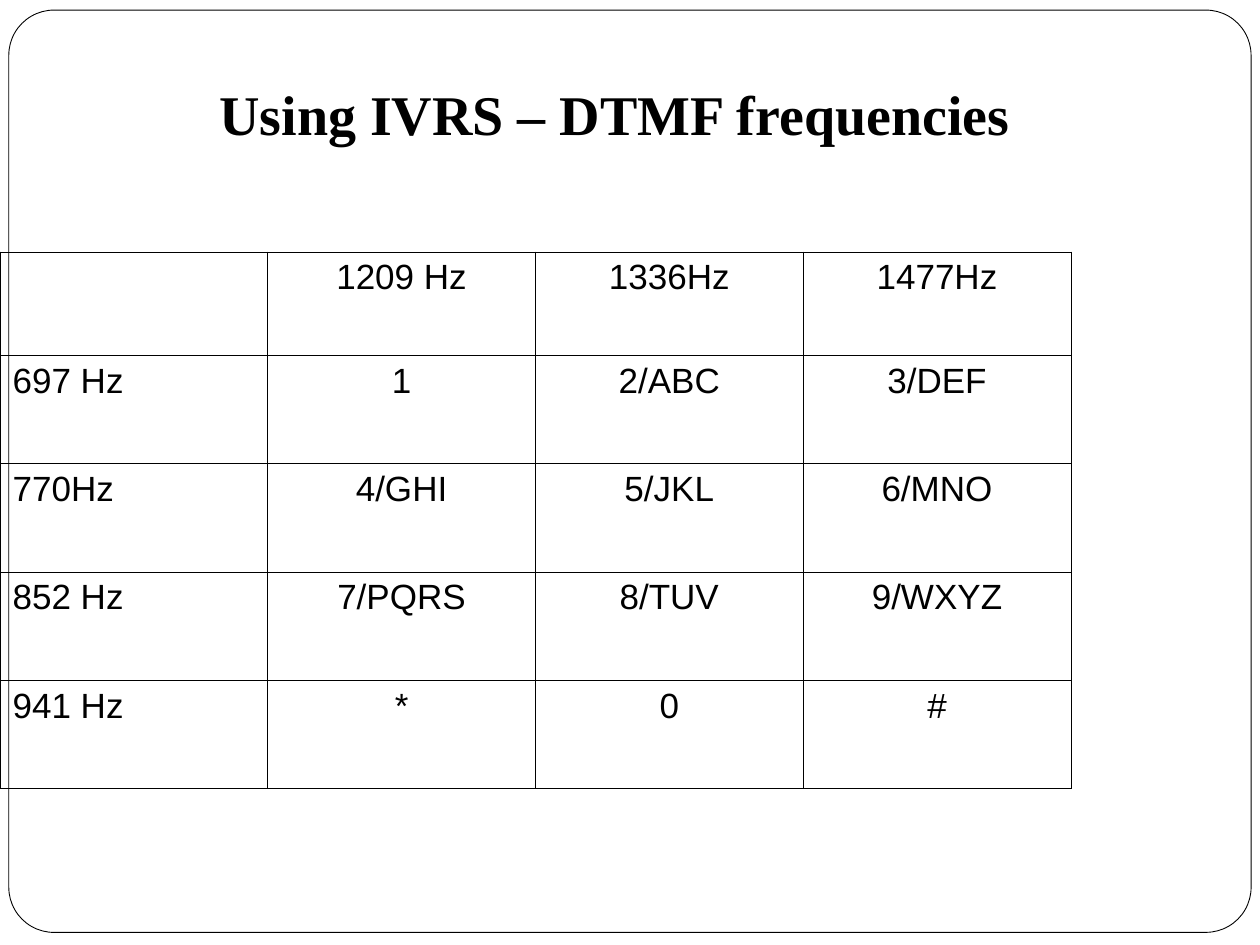
from lxml import etree
from pptx import Presentation
from pptx.dml.color import RGBColor
from pptx.enum.shapes import MSO_SHAPE
from pptx.enum.text import MSO_AUTO_SIZE, PP_ALIGN
from pptx.oxml.ns import qn
from pptx.util import Inches, Pt

ROUNDED = MSO_SHAPE.ROUNDED_RECTANGLE
GROW = MSO_AUTO_SIZE.SHAPE_TO_FIT_TEXT
LEFT, CENTER = PP_ALIGN.LEFT, PP_ALIGN.CENTER
BLACK, WHITE = "000000", "FFFFFF"
BORDER_WIDTH = 0.45

KEYPAD = [
    ["", "1209 Hz", "1336Hz", "1477Hz"],
    ["697 Hz", "1", "2/ABC", "3/DEF"],
    ["770Hz", "4/GHI", "5/JKL", "6/MNO"],
    ["852 Hz", "7/PQRS", "8/TUV", "9/WXYZ"],
    ["941 Hz", "*", "0", "#"],
]


def color(value):
    return RGBColor.from_string(value)


def write(frame, text, font, size, align, bold=False):
    frame.text = text
    para = frame.paragraphs[0]
    para.alignment = align
    para.font.size = Pt(size)
    for span in para.runs:
        span.font.name = font
        span.font.size = Pt(size)
        span.font.bold = bold
        span.font.color.rgb = color(BLACK)


def add_frame(page):
    frame = page.shapes.add_shape(
        ROUNDED, Inches(0.07), Inches(0.08), Inches(9.86), Inches(7.32))
    frame.adjustments[0] = 0.049
    frame.shadow.inherit = False
    frame.fill.solid()
    frame.fill.fore_color.rgb = color(WHITE)
    frame.line.color.rgb = color(BLACK)
    frame.line.width = Pt(0.5)


def add_title(page, text):
    box = page.shapes.add_textbox(
        Inches(0.42), Inches(0.58), Inches(8.92), Inches(0.64))
    box.text_frame.word_wrap = True
    box.text_frame.auto_size = GROW
    write(box.text_frame, text, "Times New Roman", 32, CENTER, bold=True)


def add_borders(cell):
    properties = cell._tc.get_or_add_tcPr()
    for side in ("a:lnL", "a:lnR", "a:lnT", "a:lnB"):
        line = etree.SubElement(properties, qn(side), w=str(Pt(BORDER_WIDTH)))
        fill = etree.SubElement(line, qn("a:solidFill"))
        etree.SubElement(fill, qn("a:srgbClr"), val=BLACK)


def add_keypad(page, rows):
    table = page.shapes.add_table(
        len(rows), len(rows[0]), Inches(0), Inches(2),
        Inches(8.5), Inches(4.25)).table
    table.first_row = False
    table.horz_banding = False
    for row in table.rows:
        row.height = Inches(0.86)
    table.rows[0].height = Inches(0.82)
    for row_index, labels in enumerate(rows):
        for column_index, label in enumerate(labels):
            cell = table.cell(row_index, column_index)
            add_borders(cell)
            cell.fill.background()
            align = CENTER if column_index else LEFT
            write(cell.text_frame, label, "Arial", 20, align)


def main():
    deck = Presentation()
    deck.slide_width, deck.slide_height = Inches(10), Inches(7.5)
    page = deck.slides.add_slide(deck.slide_layouts[6])
    add_frame(page)
    add_title(page, "Using IVRS – DTMF frequencies")
    add_keypad(page, KEYPAD)
    deck.save("out.pptx")


if __name__ == "__main__":
    main()
